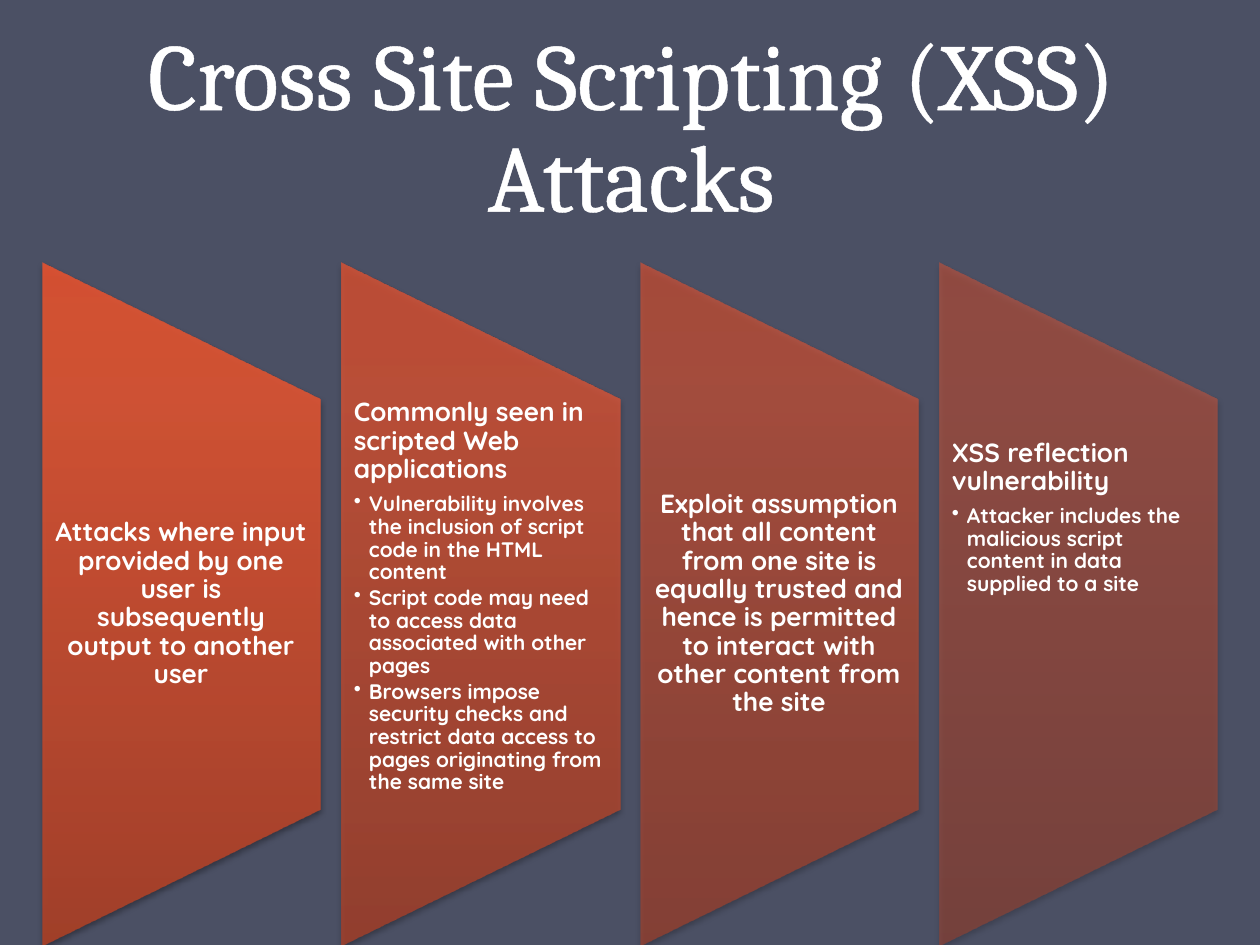
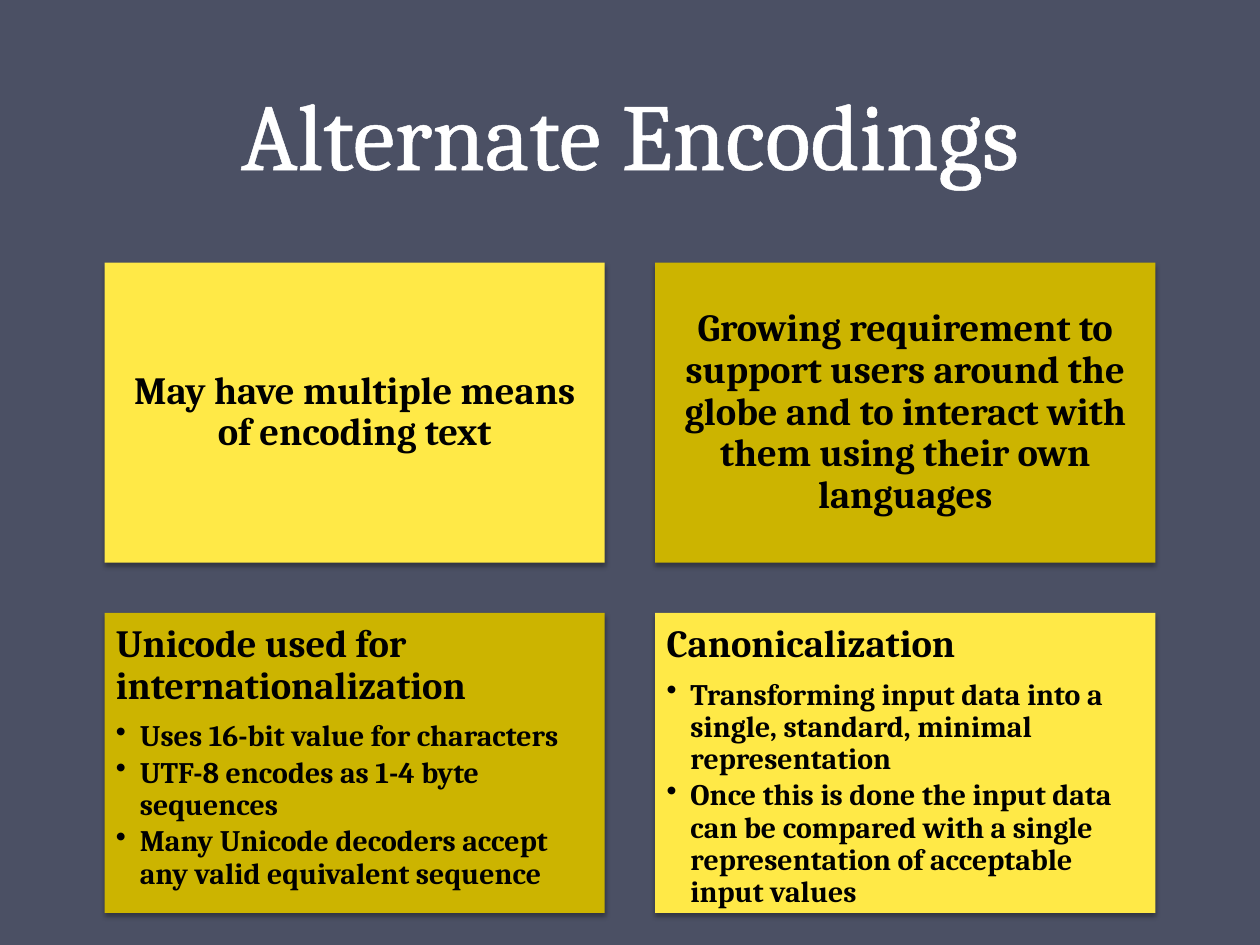
"""Build two slides on cross site scripting and alternate encodings."""
from lxml import etree
from pptx import Presentation
from pptx import util as u
from pptx.dml.color import RGBColor
from pptx.enum import shapes, text
from pptx.oxml.ns import qn

SLATE = RGBColor(0x4B, 0x50, 0x64)
WHITE = RGBColor(0xFF, 0xFF, 0xFF)
BLACK = RGBColor(0x00, 0x00, 0x00)
RUST = RGBColor(0xAB, 0x40, 0x27)
ORANGE = RGBColor(0xDE, 0x54, 0x33)
FLAME = RGBColor(0xE3, 0x52, 0x30)
YELLOW = RGBColor(0xFF, 0xE9, 0x47)
MUSTARD = RGBColor(0xCC, 0xB4, 0x00)

COLUMNS, ROWS = 100, 75
PANEL_LOOK = {"font": {"name": "Quicksand", "bold": True}, "ink": WHITE,
              "heading": 15, "bullet": 12, "indent": 0.12,
              "margins": (0.1, 0, 0.11, 0)}
CARD_LOOK = {"font": {"name": "Cambria", "bold": True}, "ink": BLACK,
             "heading": 22, "bullet": 17, "indent": 0.19,
             "margins": (0.09, 0.09, 0.09, 0.09)}

XSS_POINTS = [
    ("Attacks where input provided by one user is subsequently output to another user", [], 0),
    ("Commonly seen in scripted Web applications",
     ["Vulnerability involves the inclusion of script code in the HTML content",
      "Script code may need to access data associated with other pages",
      "Browsers impose security checks and restrict data access to pages "
      "originating from the same site"], 0),
    ("Exploit assumption that all content from one site is equally trusted and hence "
     "is permitted to interact with other content from the site", [], 0),
    ("XSS reflection vulnerability",
     ["Attacker includes the malicious script content in data supplied to a site"], 3.2),
]
ENCODING_POINTS = [
    ("May have multiple means of encoding text", [], YELLOW),
    ("Growing requirement to support users around the globe and to interact with them "
     "using their own languages", [], MUSTARD),
    ("Unicode used for internationalization",
     ["Uses 16-bit value for characters",
      "UTF-8 encodes as 1-4 byte sequences",
      "Many Unicode decoders accept any valid equivalent sequence"], MUSTARD),
    ("Canonicalization",
     ["Transforming input data into a single, standard, minimal representation",
      "Once this is done the input data can be compared with a single representation "
      "of acceptable input values"], YELLOW),
]


def assign(target, values):
    """Set each named attribute of the target."""
    for name, value in values.items():
        setattr(target, name, value)


def add_node(parent, tag, **attributes):
    """Append a DrawingML element with the given attributes."""
    node = etree.SubElement(parent, qn(tag))
    for name, value in attributes.items():
        node.set(name, str(value))
    return node


def add_color(parent, color, alpha=100):
    """Append a colour with its opacity in percent."""
    node = add_node(parent, "a:srgbClr", val=color)
    if alpha < 100:
        add_node(node, "a:alpha", val=alpha * 1000)


class Deck:
    """Hold the shared style and the current slide."""

    def __init__(self):
        """Start a presentation with the shared background."""
        self.prs = Presentation()
        self.prs.slide_width, self.prs.slide_height = u.Inches(10), u.Inches(7.5)
        backdrop = self.prs.slide_master.background.fill
        backdrop.solid()
        backdrop.fore_color.rgb = SLATE
        self.slide = None

    def box(self, left, top, width, height):
        """Turn grid columns and rows into lengths."""
        column, row = self.prs.slide_width / COLUMNS, self.prs.slide_height / ROWS
        return [u.Emu(round(share * unit)) for share, unit in
                zip((left, top, width, height), (column, row, column, row))]

    def new_slide(self, heading, *place):
        """Add a slide and format its title."""
        self.slide = self.prs.slides.add_slide(self.prs.slide_layouts[5])
        title = self.slide.shapes.title
        assign(title, dict(zip(("left", "top", "width", "height"), self.box(*place))))
        assign(title.text_frame, {"text": heading, "word_wrap": True,
                                  "auto_size": text.MSO_AUTO_SIZE.NONE,
                                  "vertical_anchor": text.MSO_ANCHOR.BOTTOM})
        line = title.text_frame.paragraphs[0]
        assign(line, {"alignment": text.PP_ALIGN.CENTER, "line_spacing": u.Pt(58)})
        run = line.runs[0]
        assign(run.font, {"name": "Cambria", "size": u.Pt(54)})
        run.font.color.rgb = WHITE
        properties = run._r.get_or_add_rPr()
        outline = add_node(properties, "a:ln", w=u.Pt(1.45))
        add_color(add_node(outline, "a:solidFill"), WHITE)
        properties.insert(0, outline)

    def shape(self, preset, *place):
        """Add a borderless preset shape with the soft shadow."""
        shape = self.slide.shapes.add_shape(preset, *self.box(*place))
        shape.line.fill.background()
        shape.shadow.inherit = False
        effects = shape.element.spPr.find(qn("a:effectLst"))
        shadow = add_node(effects, "a:outerShdw", blurRad=u.Pt(3.1), dist=u.Pt(1.8),
                          dir=90 * 60000, rotWithShape=0)
        add_color(shadow, BLACK, 35)
        return shape

    def put_text(self, frame, heading, bullets, look, drop=0):
        """Fill in a heading, centred when it stands without bullets."""
        anchor = text.MSO_ANCHOR.TOP if bullets else text.MSO_ANCHOR.MIDDLE
        align = text.PP_ALIGN.LEFT if bullets else text.PP_ALIGN.CENTER
        assign(frame, {"word_wrap": True, "vertical_anchor": anchor})
        sides = ("margin_left", "margin_top", "margin_right", "margin_bottom")
        assign(frame, {side: u.Inches(gap) for side, gap in zip(sides, look["margins"])})
        frame.margin_top += self.box(0, drop, 0, 0)[1]
        for index, words in enumerate([heading, *bullets]):
            line = frame.add_paragraph() if index else frame.paragraphs[0]
            size = look["bullet" if index else "heading"]
            assign(line, {"alignment": align, "line_spacing": 0.9,
                          "space_after": u.Pt(size * (0.15 if index else 0.35))})
            run = line.add_run()
            run.text = words
            assign(run.font, {**look["font"], "size": u.Pt(size)})
            run.font.color.rgb = look["ink"]
            if index:
                line.level = 1
                properties = line._p.get_or_add_pPr()
                indent = u.Inches(look["indent"])
                properties.set("marL", str(indent))
                properties.set("indent", str(-indent))
                add_node(properties, "a:buChar", char="•")

    def panel(self, left, top, width, height, alpha, heading, bullets, drop):
        """Add an upright tapered panel with level text in its middle."""
        shift = (height - width) / 2
        taper = self.shape(shapes.MSO_SHAPE.FLOWCHART_MANUAL_OPERATION,
                           left - shift, top + shift, height, width)
        taper.rotation = 270
        taper.fill.gradient()
        gradient = taper.element.spPr.find(qn("a:gradFill"))
        gradient.set("rotWithShape", "0")
        for child in list(gradient):
            gradient.remove(child)
        stops = add_node(gradient, "a:gsLst")
        for position, color in ((0, RUST), (80, ORANGE), (100, FLAME)):
            add_color(add_node(stops, "a:gs", pos=position * 1000), color, alpha)
        add_node(gradient, "a:lin", ang=270 * 60000, scaled=0)
        label = self.slide.shapes.add_textbox(
            *self.box(left, top + height / 5, width, height * 3 / 5))
        self.put_text(label.text_frame, heading, bullets, PANEL_LOOK, drop)

    def card(self, left, top, width, height, color, heading, bullets):
        """Add a plain rectangle that carries its text."""
        card = self.shape(shapes.MSO_SHAPE.RECTANGLE, left, top, width, height)
        card.fill.solid()
        card.fill.fore_color.rgb = color
        self.put_text(card.text_frame, heading, bullets, CARD_LOOK)


def main():
    """Build both slides and save them."""
    deck = Deck()
    deck.new_slide("Cross Site Scripting (XSS) Attacks", 5.1, 1.3, 90, 17.5)
    for index, (heading, bullets, drop) in enumerate(XSS_POINTS):
        deck.panel(3.37 + 23.73 * index, 20.85, 22.1, 54.2,
                   round(90 - 40 * index / 3), heading, bullets, drop)
    deck.new_slide("Alternate Encodings", 5, 0, 90, 15.5)
    for index, (heading, bullets, color) in enumerate(ENCODING_POINTS):
        row, column = divmod(index, 2)
        deck.card(8.3 + 43.7 * column, 20.85 + 27.8 * row, 39.7, 23.8,
                  color, heading, bullets)
    deck.prs.save("out.pptx")


if __name__ == "__main__":
    main()
